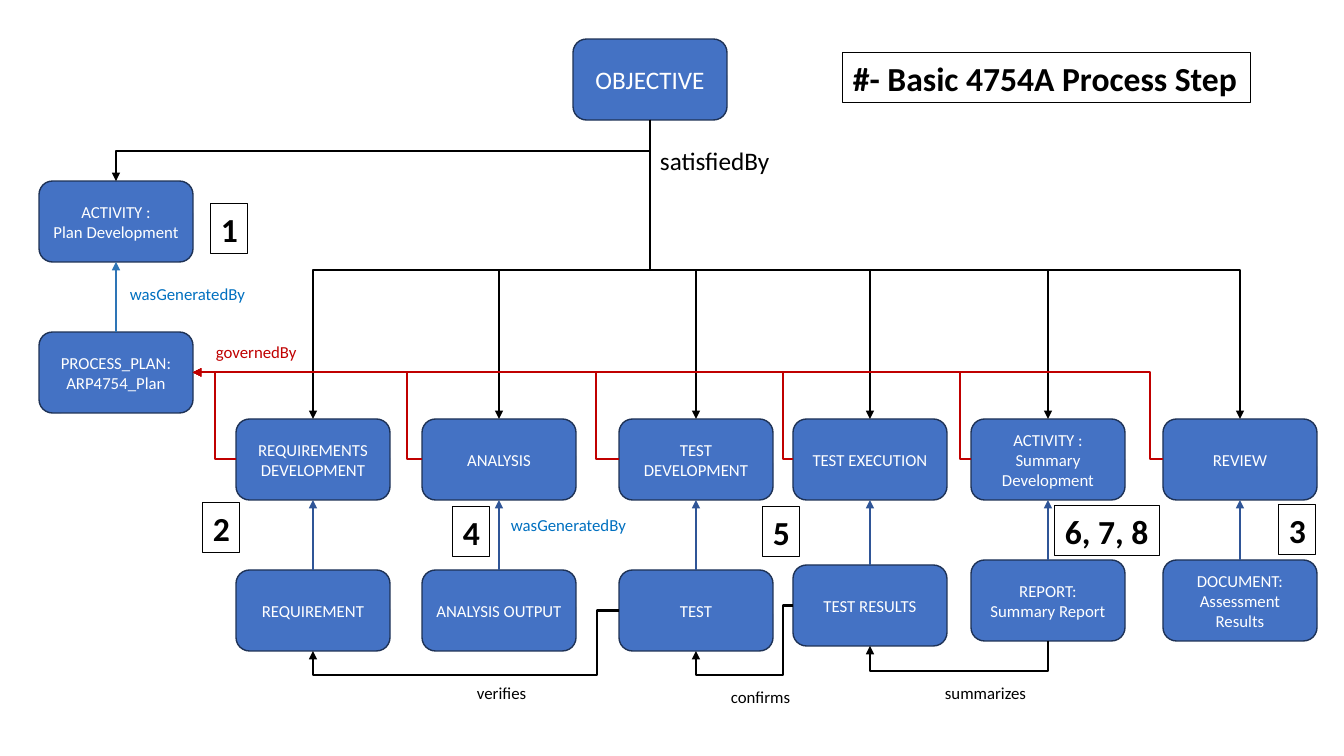
from collections import namedtuple

from lxml import etree
from pptx import Presentation
from pptx.dml.color import RGBColor
from pptx.enum.shapes import MSO_CONNECTOR, MSO_SHAPE
from pptx.enum.text import MSO_ANCHOR, MSO_AUTO_SIZE, PP_ALIGN
from pptx.oxml.ns import qn
from pptx.util import Pt

ROUNDED = MSO_SHAPE.ROUNDED_RECTANGLE
STRAIGHT, ELBOW = MSO_CONNECTOR.STRAIGHT, MSO_CONNECTOR.ELBOW
CENTER, LEFT_ALIGNED = PP_ALIGN.CENTER, PP_ALIGN.LEFT
MIDDLE, TOP_ANCHOR = MSO_ANCHOR.MIDDLE, MSO_ANCHOR.TOP
GROW = MSO_AUTO_SIZE.SHAPE_TO_FIT_TEXT
TOP, LEFT, BOTTOM, RIGHT = range(4)

SCALE = 914400 / 100.8
NODE_WIDTH, NODE_HEIGHT = 154, 81

Area = namedtuple("Area", "left top width height")
Activity = namedtuple(
    "Activity", "name output offset output_drop govern_gap step step_offset step_drop step_width")


class Theme:
    """Colours, font and type sizes of the process diagram."""
    font = "Calibri"
    node, node_edge = "4472C4", "1E3256"
    white, black = "FFFFFF", "000000"
    generated, plan_generated, generated_text = "2F5597", "2E75B6", "0070C0"
    governed = "C00000"
    small, large, step = 12, 18, 24
    link_width, node_edge_width, step_edge_width = 1.5, 1, 0.75


ACTIVITIES = [
    Activity("REQUIREMENTS DEVELOPMENT", "REQUIREMENT", 0, 151, 21, "2", -33, 84, 37),
    Activity("ANALYSIS", "ANALYSIS OUTPUT", 186, 151, 15, "4", 31, 88, 37),
    Activity("TEST DEVELOPMENT", "TEST", 383, 151, 23, None, 0, 0, 0),
    Activity("TEST EXECUTION", "TEST RESULTS", 557, 146, 10, "5", -30, 88, 37),
    Activity("ACTIVITY :\nSummary Development", "REPORT: Summary Report",
             735, 141, 11, "6, 7, 8", 84, 87, 105),
    Activity("REVIEW", "DOCUMENT: Assessment Results", 927, 141, 13, "3", 116, 86, 37),
]


def emu(pixels):
    """Turn pixels into EMU."""
    return round(pixels * SCALE)


def rgb(color):
    """Turn a hex string into a colour."""
    return RGBColor.from_string(color)


def write(frame, text, size, color, align, bold=False):
    """Fill a text frame and format its runs."""
    frame.text = text
    for paragraph in frame.paragraphs:
        paragraph.alignment = align
        for run in paragraph.runs:
            run.font.name = Theme.font
            run.font.size = Pt(size)
            run.font.bold = bold
            run.font.color.rgb = rgb(color)


def add_node(slide, left, top, text, size=Theme.small):
    """Draw one rounded node with centred text."""
    node = slide.shapes.add_shape(
        ROUNDED, emu(left), emu(top), emu(NODE_WIDTH), emu(NODE_HEIGHT))
    node.shadow.inherit = False
    node.fill.solid()
    node.fill.fore_color.rgb = rgb(Theme.node)
    node.line.color.rgb = rgb(Theme.node_edge)
    node.line.width = Pt(Theme.node_edge_width)
    node.text_frame.word_wrap = True
    node.text_frame.vertical_anchor = MIDDLE
    write(node.text_frame, text, size, Theme.white, CENTER)
    return node


def add_label(slide, area, text, color=Theme.black, size=Theme.small, bold=False):
    """Place one line of unwrapped text."""
    label = slide.shapes.add_textbox(*map(emu, area))
    label.text_frame.word_wrap = False
    label.text_frame.auto_size = GROW
    label.text_frame.vertical_anchor = TOP_ANCHOR
    write(label.text_frame, text, size, color, LEFT_ALIGNED, bold)
    return label


def add_step(slide, left, top, text, width=37):
    """Draw a framed process step number."""
    step = add_label(slide, Area(left, top, width, 50), text, size=Theme.step, bold=True)
    step.line.color.rgb = rgb(Theme.black)
    step.line.width = Pt(Theme.step_edge_width)


def site_point(node, site):
    """Return the point of a connection site in EMU."""
    middle, center = node.left + node.width // 2, node.top + node.height // 2
    return {TOP: (middle, node.top), LEFT: (node.left, center),
            BOTTOM: (middle, node.top + node.height),
            RIGHT: (node.left + node.width, center)}[site]


def link(slide, source, source_site, target, target_site, color, via_x=None, via_y=None):
    """Join two nodes with an arrow, bent at the given column and row."""
    start_x, start_y = site_point(source, source_site)
    end_x, end_y = site_point(target, target_site)
    bends = []
    if via_x is not None:
        bends.append((emu(via_x) - start_x) / (end_x - start_x))
    if via_y is not None:
        bends.append((emu(via_y) - start_y) / (end_y - start_y))
    arrow = slide.shapes.add_connector(
        ELBOW if bends else STRAIGHT, start_x, start_y, end_x, end_y)
    arrow.begin_connect(source, source_site)
    arrow.end_connect(target, target_site)
    if via_x is None and via_y is not None:
        center_x, center_y = (start_x + end_x) // 2, (start_y + end_y) // 2
        half_run, half_fall = (end_x - start_x) // 2, (end_y - start_y) // 2
        arrow.begin_x, arrow.begin_y = center_x - half_fall, center_y + half_run
        arrow.end_x, arrow.end_y = center_x + half_fall, center_y - half_run
        arrow.rotation = 90
    properties = arrow.element.spPr
    geometry = properties.find(qn("a:prstGeom"))
    if len(bends) == 2:
        geometry.set("prst", "bentConnector4")
    for number, bend in enumerate(bends, 1):
        name = "adj" if len(bends) == 0 else f"adj{number}"
        etree.SubElement(geometry.find(qn("a:avLst")), qn("a:gd"),
                         name=name, fmla=f"val {round(bend * 100000)}")
    arrow.line.color.rgb = rgb(color)
    arrow.line.width = Pt(Theme.link_width)
    etree.SubElement(properties.find(qn("a:ln")), qn("a:tailEnd"), type="triangle")
    etree.SubElement(properties, qn("a:effectLst"))


def build_objective(slide, area):
    """Draw the objective, its relation label and the step key."""
    objective = add_node(slide, area.left, area.top, "OBJECTIVE", Theme.large)
    add_label(slide, Area(area.left + 77, area.top + 101, 131, 40),
              "satisfiedBy", size=Theme.large)
    add_step(slide, area.left + 270, area.top + 14, "#- Basic 4754A Process Step", 408)
    return objective


def build_plan(slide, area, objective):
    """Draw the planning activity above the plan it generates."""
    activity = add_node(slide, area.left, area.top, "ACTIVITY :\nPlan Development")
    plan = add_node(slide, area.left, area.top + 151, "PROCESS_PLAN: ARP4754_Plan")
    link(slide, objective, BOTTOM, activity, TOP, Theme.black, via_y=area.top - 30)
    link(slide, plan, TOP, activity, BOTTOM, Theme.plan_generated)
    add_label(slide, Area(area.left + 81, area.top + 98, 137, 30),
              "wasGeneratedBy", Theme.generated_text)
    add_step(slide, area.left + 172, area.top + 23, "1")
    return plan


def build_activities(slide, area, objective, plan):
    """Draw the activities, their outputs and every relation between them."""
    outputs = []
    for activity in ACTIVITIES:
        left = area.left + activity.offset
        node = add_node(slide, left, area.top, activity.name)
        output = add_node(slide, left, area.top + activity.output_drop, activity.output)
        outputs.append(output)
        link(slide, objective, BOTTOM, node, TOP, Theme.black, via_y=area.top - 149)
        link(slide, node, LEFT, plan, RIGHT, Theme.governed, via_x=left - activity.govern_gap)
        link(slide, output, TOP, node, BOTTOM, Theme.generated)
        if activity.step:
            add_step(slide, left + activity.step_offset, area.top + activity.step_drop,
                     activity.step, activity.step_width)
    requirement, _, test, results, report, _ = outputs
    link(slide, test, LEFT, requirement, BOTTOM, Theme.black, area.left + 361, area.top + 256)
    link(slide, results, LEFT, test, BOTTOM, Theme.black, area.left + 547, area.top + 256)
    link(slide, report, BOTTOM, results, BOTTOM, Theme.black, via_y=area.top + 252)
    for text, color, left, top, width in (
            ("governedBy", Theme.governed, -30, -82, 102),
            ("wasGeneratedBy", Theme.generated_text, 265, 91, 137),
            ("verifies", Theme.black, 231, 259, 71),
            ("confirms", Theme.black, 485, 263, 81),
            ("summarizes", Theme.black, 699, 259, 103)):
        add_label(slide, Area(area.left + left, area.top + top, width, 30), text, color)


def main():
    """Build the process slide and save it."""
    deck = Presentation()
    deck.slide_width, deck.slide_height = emu(1344), emu(756)
    slide = deck.slides.add_slide(deck.slide_layouts[6])
    objective = build_objective(slide, Area(573, 39, 678, 141))
    plan = build_plan(slide, Area(39, 181, 218, 232), objective)
    build_activities(slide, Area(236, 419, 1081, 293), objective, plan)
    deck.save("out.pptx")


main()
